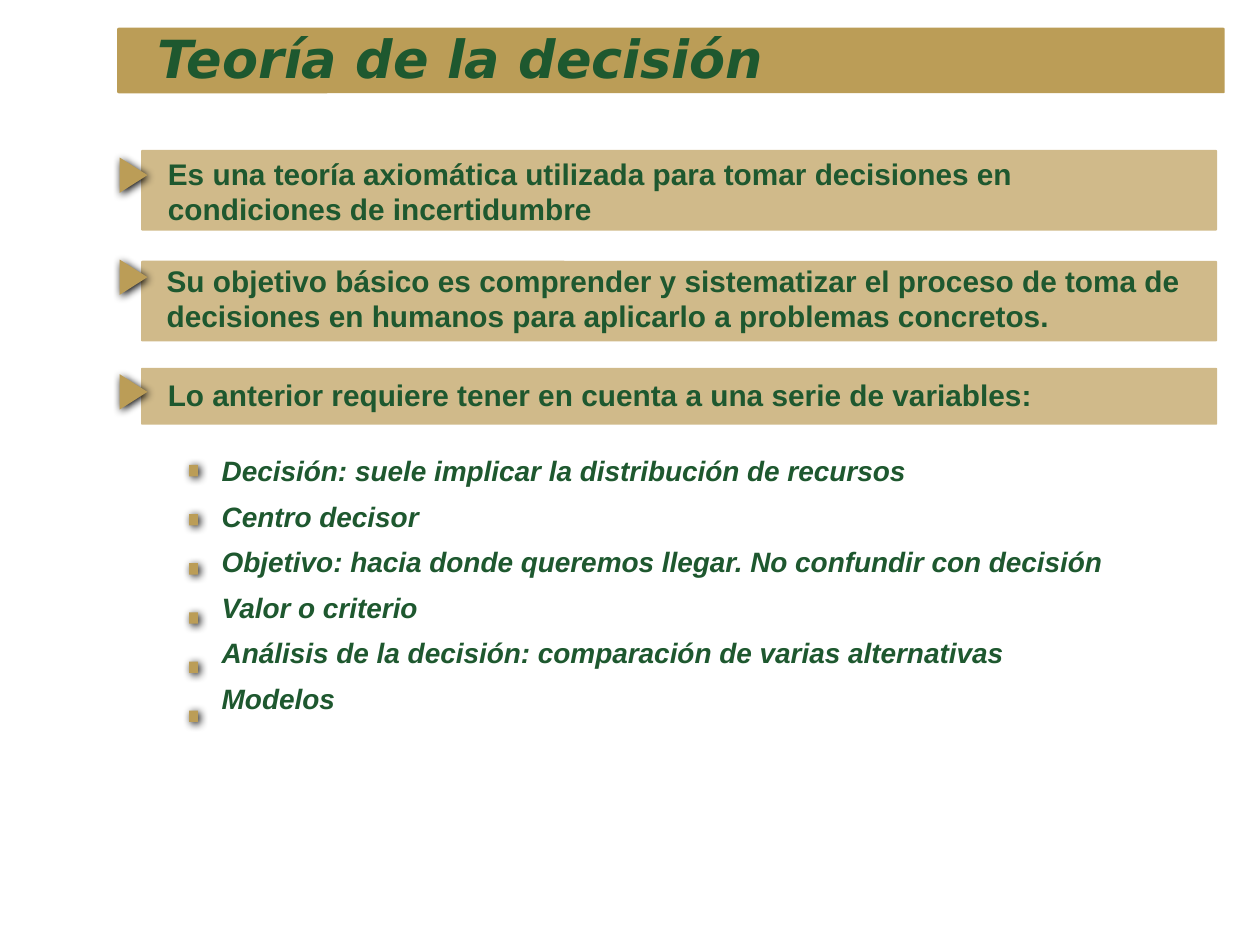
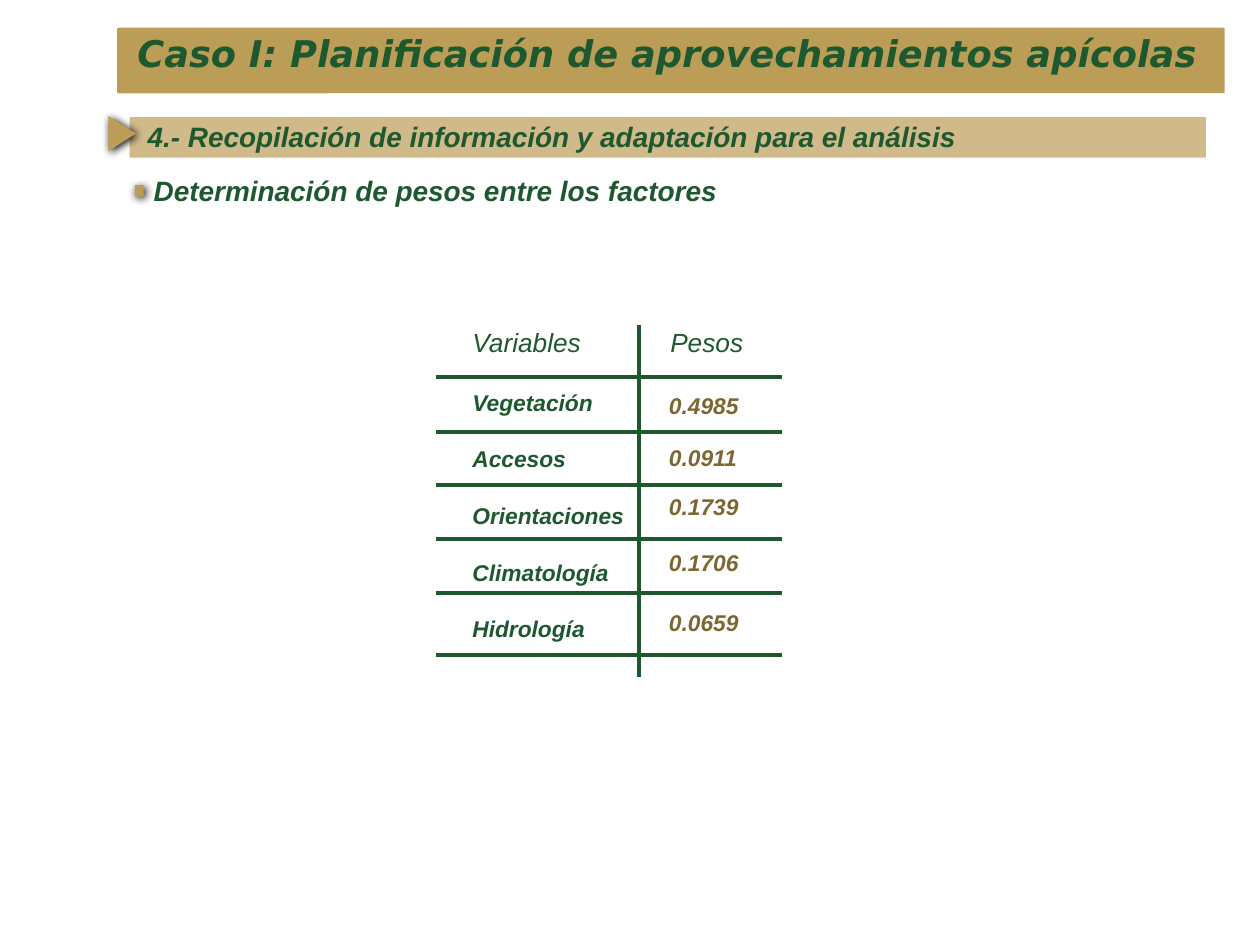
from dataclasses import dataclass
from itertools import pairwise

from lxml import etree
from pptx import Presentation
from pptx import util as u
from pptx.dml.color import RGBColor
from pptx.enum import shapes, text
from pptx.oxml import ns


@dataclass(frozen=True)
class Theme:
    green: RGBColor = RGBColor(0x1E, 0x58, 0x2F)
    gold: RGBColor = RGBColor(0xBB, 0x9D, 0x57)
    sand: RGBColor = RGBColor(0xD0, 0xBA, 0x8A)
    brown: RGBColor = RGBColor(0x7E, 0x66, 0x32)
    title_font: str = "DejaVu Sans"
    body_font: str = "Arial"
    title_size: int = 30
    long_title_size: int = 21
    statement_size: int = 17
    item_size: int = 16
    header_size: int = 15
    cell_size: int = 13
    rule_width: float = 2.25


THEME = Theme()
KIND = shapes.MSO_SHAPE
VARIABLES = [
    "Decisión: suele implicar la distribución de recursos",
    "Centro decisor",
    "Objetivo: hacia donde queremos llegar. No confundir con decisión",
    "Valor o criterio",
    "Análisis de la decisión: comparación de varias alternativas",
    "Modelos",
]
STATEMENTS = [
    ((1.12, 1.19, 8.54, 0.64), 1.28, (0.21, 0.04),
     "Es una teoría axiomática utilizada para tomar decisiones en condiciones de incertidumbre"),
    ((1.12, 2.07, 8.54, 0.64), 2.09, (0.2, 0.01),
     "Su objetivo básico es comprender y sistematizar el proceso de toma de decisiones "
     "en humanos para aplicarlo a problemas concretos."),
    ((1.12, 2.92, 8.54, 0.45), 3.0, (0.21, 0.07),
     "Lo anterior requiere tener en cuenta a una serie de variables:"),
]
WEIGHTS = [
    ("Vegetación", "0.4985", 3.13),
    ("Accesos", "0.0911", 3.54),
    ("Orientaciones", "0.1739", 3.93),
    ("Climatología", "0.1706", 4.37),
    ("Hidrología", "0.0659", 4.85),
]
ROW_EDGES = [2.58, 2.99, 3.43, 3.85, 4.28, 4.71, 5.2]


def inches(box):
    return [u.Inches(length) for length in box]


def style(paragraph, size, color=THEME.green, name=THEME.body_font, bold=True, italic=True):
    font = paragraph.font
    font.name, font.size, font.bold, font.italic = name, u.Pt(size), bold, italic
    font.color.rgb = color


def add_filled(owner, kind, box, color):
    filled = owner.shapes.add_shape(kind, *inches(box))
    filled.shadow.inherit = False
    filled.fill.solid()
    filled.fill.fore_color.rgb = color
    filled.line.fill.background()
    return filled


def add_marker(slide, kind, box):
    marker = add_filled(slide, kind, box, THEME.gold)
    marker.rotation = 90
    effects = marker.element.spPr.find(ns.qn("a:effectLst"))
    shadow = etree.SubElement(
        effects, ns.qn("a:outerShdw"), blurRad=str(u.Pt(5)), dist=str(u.Pt(1.4)),
        dir="2700000", algn="ctr", rotWithShape="0")
    etree.SubElement(shadow, ns.qn("a:srgbClr"), val="000000")


def add_title_band(slide):
    band = add_filled(slide, KIND.ROUNDED_RECTANGLE, (0.93, 0.22, 8.79, 0.52), THEME.gold)
    band.adjustments[0] = 0.022
    slide.slide_layout.shapes.element.insert(2, band.element)


def place_placeholder(placeholder, box):
    placeholder.left, placeholder.top, placeholder.width, placeholder.height = inches(box)
    frame = placeholder.text_frame
    frame.auto_size = text.MSO_AUTO_SIZE.NONE
    frame.vertical_anchor = text.MSO_ANCHOR.TOP
    frame.word_wrap = True
    return frame


def fill_title(slide, box, wording, size):
    frame = place_placeholder(slide.shapes.title, box)
    frame.text = wording
    heading = frame.paragraphs[0]
    heading.alignment = text.PP_ALIGN.LEFT
    style(heading, size, name=THEME.title_font)


def fill_list(slide, box, items, first_marker, pitch=0.39, line_spacing=1.0):
    frame = place_placeholder(slide.placeholders[1], box)
    frame.text = "\n".join(items)
    marker_left, marker_top = first_marker
    for index, item in enumerate(frame.paragraphs):
        properties = item._p.get_or_add_pPr()
        properties.set("marL", "0")
        properties.set("indent", "0")
        etree.SubElement(properties, ns.qn("a:buNone"))
        item.line_spacing = line_spacing
        item.space_before = u.Pt(8.8 if index else 0)
        style(item, THEME.item_size)
        add_marker(slide, KIND.RECTANGLE, (marker_left, marker_top + index * pitch, 0.09, 0.07))


def add_statement(slide, box, arrow_top, inset, wording, size, italic=False):
    bar = add_filled(slide, KIND.ROUNDED_RECTANGLE, box, THEME.sand)
    bar.adjustments[0] = 0.017
    frame = bar.text_frame
    frame.word_wrap = True
    frame.vertical_anchor = text.MSO_ANCHOR.TOP
    frame.margin_left, frame.margin_top = inches(inset)
    frame.margin_right, frame.margin_bottom = inches((0.22, 0))
    frame.text = wording
    statement = frame.paragraphs[0]
    statement.alignment = text.PP_ALIGN.LEFT
    style(statement, size, italic=italic)
    add_marker(slide, KIND.ISOSCELES_TRIANGLE, (box[0] - 0.2, arrow_top, 0.28, 0.22))


def add_rule(slide, *ends):
    rule = slide.shapes.add_connector(shapes.MSO_CONNECTOR.STRAIGHT, *inches(ends))
    rule.line.color.rgb = THEME.green
    rule.line.width = u.Pt(THEME.rule_width)
    etree.SubElement(rule.element.spPr, ns.qn("a:effectLst"))


def fill_cell(cell, wording, margins, size, color, bold):
    cell.margin_left, cell.margin_top = inches(margins)
    cell.margin_right = cell.margin_bottom = 0
    cell.vertical_anchor = text.MSO_ANCHOR.TOP
    cell.fill.background()
    cell.text = wording
    style(cell.text_frame.paragraphs[0], size, color, bold=bold)


def add_weights(slide, left, column_widths):
    top, bottom = ROW_EDGES[0], ROW_EDGES[-1]
    width = sum(column_widths)
    rows = [("Variables", "Pesos", 2.61, 2.61)]
    rows += [(name, weight, 3.1 + 0.45 * index, weight_top)
             for index, (name, weight, weight_top) in enumerate(WEIGHTS)]
    frame = slide.shapes.add_table(len(rows), 2, *inches((left, top, width, bottom - top)))
    weights = frame.table
    weights.first_row = weights.horz_banding = False
    for style_id in frame.element.iter(ns.qn("a:tableStyleId")):
        style_id.text = "{2D5ABB26-0587-4C30-8999-92F81FD0307C}"
    for column, column_width in zip(weights.columns, column_widths):
        column.width = u.Inches(column_width)
    for index, (row, (start, end)) in enumerate(zip(rows, pairwise(ROW_EDGES))):
        name, weight, name_top, weight_top = row
        weights.rows[index].height = u.Inches(end - start)
        size = THEME.cell_size if index else THEME.header_size
        weight_color = THEME.brown if index else THEME.green
        weight_inset = 0.24 if index else 0.25
        fill_cell(weights.cell(index, 0), name, (0.29, name_top - start),
                  size, THEME.green, index > 0)
        fill_cell(weights.cell(index, 1), weight, (weight_inset, weight_top - start),
                  size, weight_color, index > 0)
        add_rule(slide, left, end, left + width, end)
    middle = left + column_widths[0]
    add_rule(slide, middle, top, middle, bottom + 0.17)


def build_theory(slide):
    fill_title(slide, (1.15, 0.16, 8.36, 0.6), "Teoría de la decisión", THEME.title_size)
    for statement in STATEMENTS:
        add_statement(slide, *statement, THEME.statement_size)
    fill_list(slide, (1.66, 3.58, 7.76, 2.29), VARIABLES, (1.49, 3.7), line_spacing=0.9)


def build_case(slide):
    fill_title(slide, (0.99, 0.19, 8.73, 0.45),
               "Caso I: Planificación de aprovechamientos apícolas", THEME.long_title_size)
    add_statement(slide, (1.03, 0.93, 8.54, 0.32), 0.95, (0.14, 0.02),
                  "4.- Recopilación de información y adaptación para el análisis",
                  THEME.item_size, italic=True)
    fill_list(slide, (1.12, 1.33, 4.8, 0.37),
              ["Determinación de pesos entre los factores"], (1.06, 1.48))
    add_weights(slide, 3.46, (1.61, 1.14))


def main():
    deck = Presentation()
    deck.slide_width, deck.slide_height = inches((10, 7.5))
    layout = deck.slide_layouts[1]
    theory, case = (deck.slides.add_slide(layout) for _ in range(2))
    add_title_band(theory)
    build_theory(theory)
    build_case(case)
    deck.save("out.pptx")


if __name__ == "__main__":
    main()
